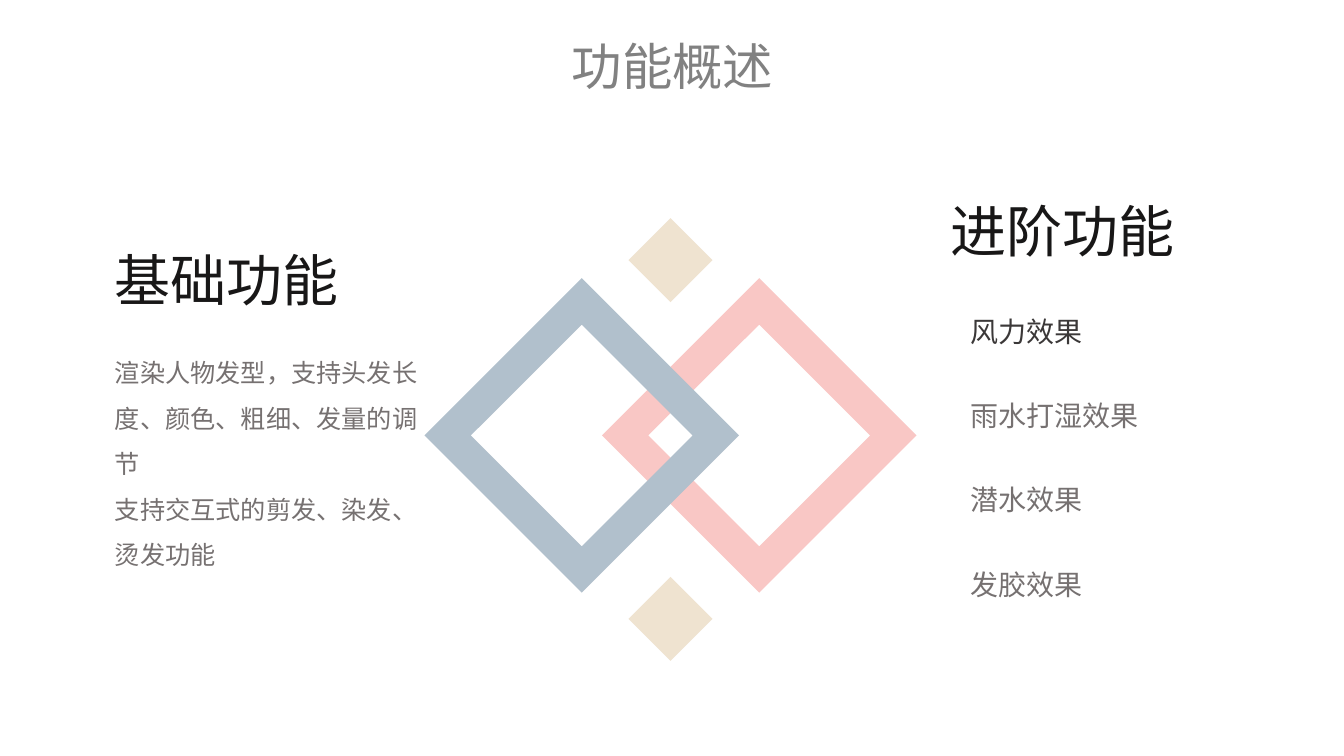
import pptx
import pptx.dml.color
import pptx.enum.shapes
import pptx.enum.text
import pptx.oxml.ns
import pptx.util

TITLE = "功能概述"
BASIC_HEADING = "基础功能"
BASIC_POINTS = [
    "渲染人物发型，支持头发长度、颜色、粗细、发量的调节",
    "支持交互式的剪发、染发、烫发功能",
]
ADVANCED_HEADING = "进阶功能"
ADVANCED_EFFECTS = ["风力效果", "雨水打湿效果", "潜水效果", "发胶效果"]

WIDTH, HEIGHT = 13.33, 7.5
THEME = {
    "pink": "F9C7C5", "blue": "B1C0CC", "sand": "EFE3D0",
    "title": dict(size=36, name="Noto Sans CJK SC", color="818181"),
    "heading": dict(size=40, name="Noto Sans CJK JP", color="181717"),
    "body": dict(size=18, name="Calibri", color="767171"),
    "effect": dict(size=20, name="Calibri", color="767171"),
    "lead_effect": dict(size=20, name="Noto Sans CJK JP", color="3B3838"),
}

# Emblem: two interlocked frames with a small diamond above and below
CENTER_X, CENTER_Y = 6.65, 4.32
FRAME_SHIFT = 0.88
FRAME_OUTER, FRAME_INNER = 1.56, 1.1
DIAMOND_SIDE, DIAMOND_SHIFT = 0.59, 1.78
DIAMOND_CENTER_Y = 4.36

EFFECT_TOP, EFFECT_STEP = 3.07, 0.836


def inches(*lengths):
    return [pptx.util.Inches(v) for v in lengths]


def rgb(color):
    return pptx.dml.color.RGBColor.from_string(color)


def paint(sp, color):
    sp.shadow.inherit = False
    sp.fill.solid()
    sp.fill.fore_color.rgb = rgb(color)
    sp.line.fill.background()


def add_text(s, box, lines, style, **paragraph_format):
    tf = s.shapes.add_textbox(*inches(*box)).text_frame
    tf.word_wrap = True
    tf.auto_size = pptx.enum.text.MSO_AUTO_SIZE.SHAPE_TO_FIT_TEXT
    look = THEME[style]
    for i, line in enumerate(lines):
        p = tf.paragraphs[0] if i == 0 else tf.add_paragraph()
        for key, value in paragraph_format.items():
            setattr(p, key, value)
        r = p.add_run()
        r.text = line
        for key, value in dict(size=pptx.util.Pt(look["size"]), name=look["name"]).items():
            setattr(r.font, key, value)
        r.font.color.rgb = rgb(look["color"])
        east_asian = r.font._element.makeelement(
            pptx.oxml.ns.qn("a:ea"), {"typeface": look["name"]})
        r.font._element.append(east_asian)


def diamond_points(x, y, half, turn=1):
    """Corners from the top; turn=-1 reverses the direction."""
    return [inches(x, y - half), inches(x + turn * half, y),
            inches(x, y + half), inches(x - turn * half, y)]


def add_frame(s, x, y, color):
    outer = diamond_points(x, y, FRAME_OUTER)
    inner = diamond_points(x, y, FRAME_INNER, turn=-1)
    builder = s.shapes.build_freeform(*outer[0])
    builder.add_line_segments(outer[1:], close=True)
    builder.move_to(*inner[0])
    builder.add_line_segments(inner[1:], close=True)
    paint(builder.convert_to_shape(), color)


def add_diamond(s, x, y, side, color):
    sp = s.shapes.add_shape(pptx.enum.shapes.MSO_SHAPE.RECTANGLE,
                            *inches(x - side / 2, y - side / 2, side, side))
    sp.rotation = 45
    paint(sp, color)


def main():
    prs = pptx.Presentation()
    prs.slide_width, prs.slide_height = inches(WIDTH, HEIGHT)
    s = prs.slides.add_slide(prs.slide_layouts[6])

    add_text(s, (4.33, 0.18, 4.68, 0.83), [TITLE], "title",
             alignment=pptx.enum.text.PP_ALIGN.CENTER, line_spacing=1.2)

    for side, color in ((1, "pink"), (-1, "blue")):
        add_frame(s, CENTER_X + side * FRAME_SHIFT, CENTER_Y, THEME[color])
    for side in (-1, 1):
        add_diamond(s, CENTER_X, DIAMOND_CENTER_Y + side * DIAMOND_SHIFT,
                    DIAMOND_SIDE, THEME["sand"])

    add_text(s, (1.04, 2.39, 3.17, 0.77), [BASIC_HEADING], "heading")
    add_text(s, (1.04, 3.35, 3.42, 2.37), BASIC_POINTS, "body", line_spacing=1.5)

    add_text(s, (9.33, 1.9, 3.17, 0.77), [ADVANCED_HEADING], "heading")
    for i, effect in enumerate(ADVANCED_EFFECTS):
        add_text(s, (9.53, EFFECT_TOP + i * EFFECT_STEP, 2.76, 0.44), [effect],
                 "effect" if i else "lead_effect")

    prs.save("out.pptx")


if __name__ == "__main__":
    main()
